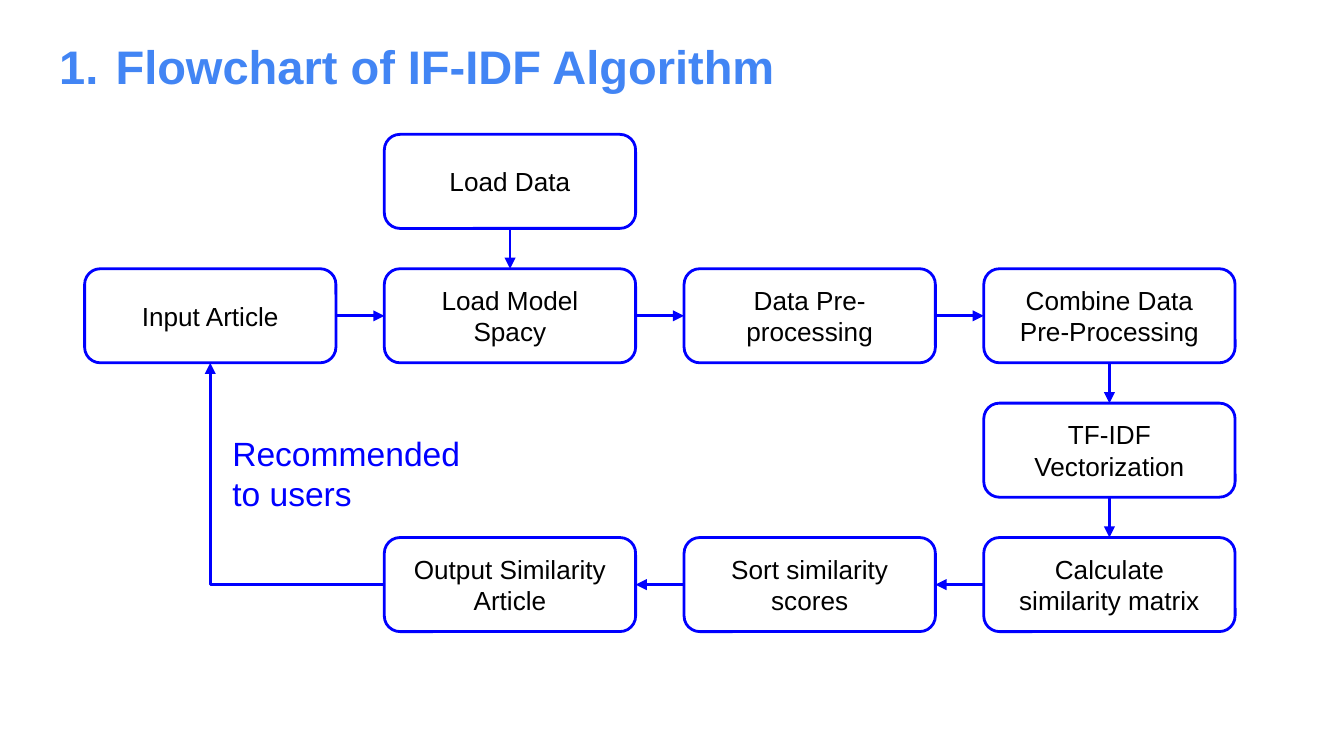
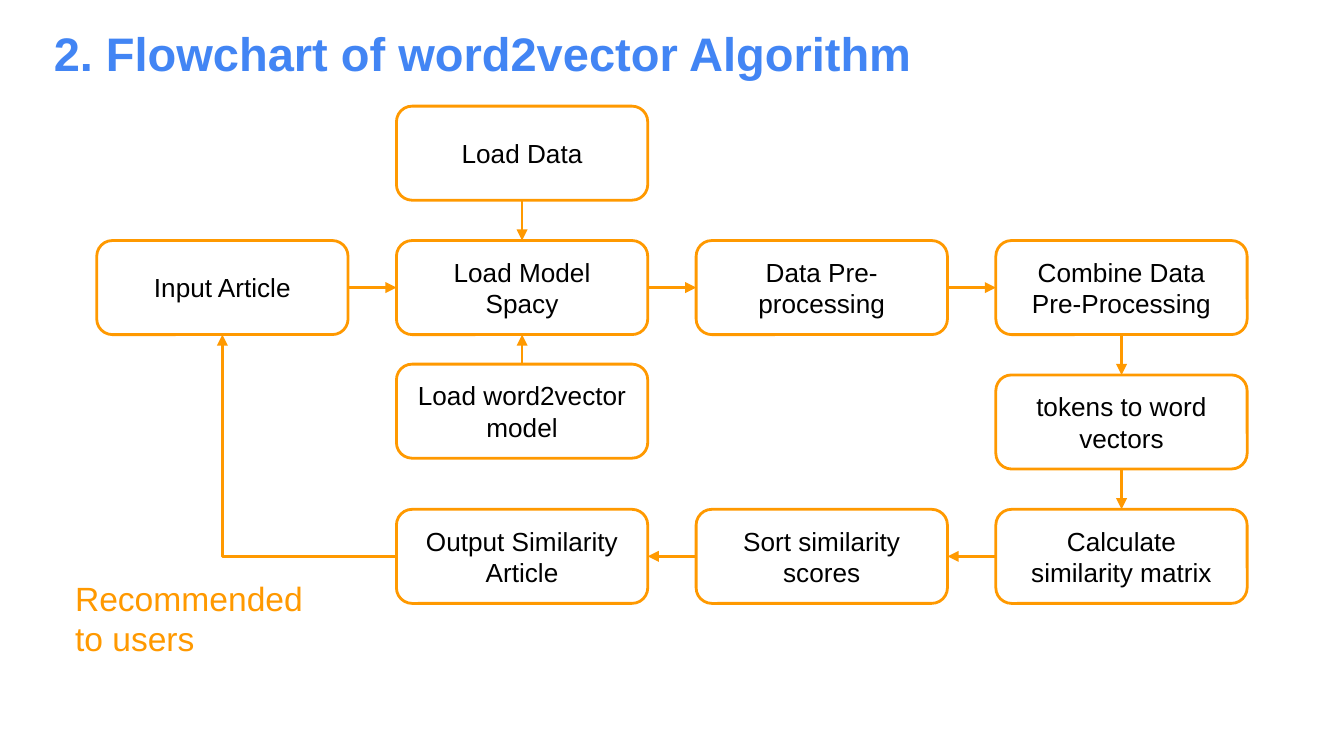
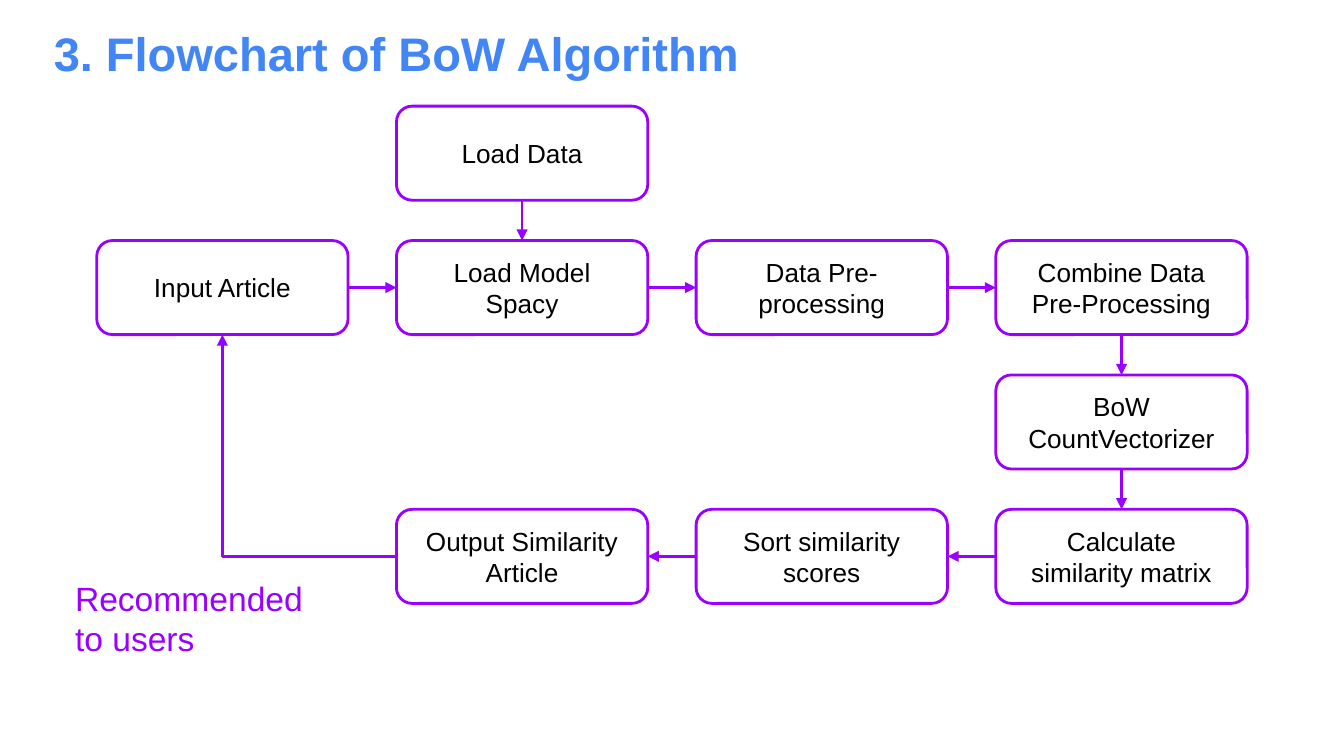
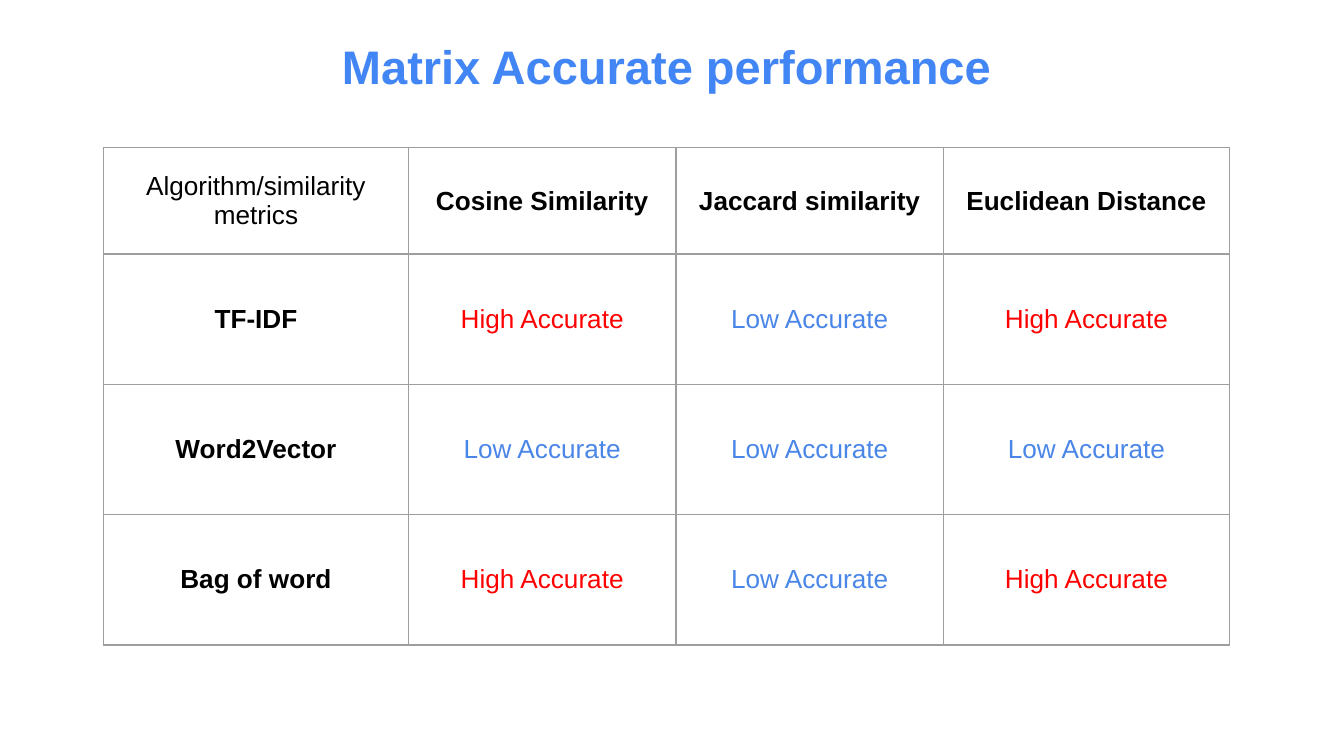
from lxml import etree
from pptx import Presentation
from pptx.dml.color import RGBColor
from pptx.enum.shapes import MSO_CONNECTOR, MSO_SHAPE
from pptx.enum.text import MSO_ANCHOR, MSO_AUTO_SIZE, PP_ALIGN
from pptx.oxml.ns import qn
from pptx.util import Inches, Pt

ROUNDED = MSO_SHAPE.ROUNDED_RECTANGLE
STRAIGHT, ELBOW = MSO_CONNECTOR.STRAIGHT, MSO_CONNECTOR.ELBOW
TOP, MIDDLE = MSO_ANCHOR.TOP, MSO_ANCHOR.MIDDLE
LEFT, CENTER = PP_ALIGN.LEFT, PP_ALIGN.CENTER
NO_AUTOFIT = MSO_AUTO_SIZE.NONE

BLACK = RGBColor(0x00, 0x00, 0x00)
TITLE_BLUE = RGBColor(0x42, 0x85, 0xF4)
BLUE = RGBColor(0x00, 0x00, 0xFF)
ORANGE = RGBColor(0xFF, 0x99, 0x00)
PURPLE = RGBColor(0x99, 0x00, 0xFF)
RED = RGBColor(0xFF, 0x00, 0x00)
LOW_BLUE = RGBColor(0x4A, 0x86, 0xE8)
BORDER_GRAY = RGBColor(0x9E, 0x9E, 0x9E)

FONT = "Arial"
LINE_WIDTH = Pt(1.5)
INSET = Inches(0.1)
STEP_WIDTH, STEP_HEIGHT = 1.87, 0.7
COLUMN_STEP, ROW_STEP = 2.23, 1.0
SITES = {"top": 0, "left": 1, "bottom": 2, "right": 3}

HIGH, LOW = "High Accurate", "Low Accurate"
CELL_COLORS = {HIGH: RED, LOW: LOW_BLUE}

STEPS = {
    "data": ("Load Data", 1, 0),
    "input": ("Input Article", 0, 1),
    "model": ("Load Model Spacy", 1, 1),
    "clean": ("Data Pre-processing", 2, 1),
    "combine": ("Combine Data Pre-Processing", 3, 1),
    "matrix": ("Calculate similarity matrix", 3, 3),
    "sort": ("Sort similarity scores", 2, 3),
    "output": ("Output Similarity Article", 1, 3),
}
ARROWS = [
    ("input", "right", "model", "left"),
    ("model", "right", "clean", "left"),
    ("data", "bottom", "model", "top"),
    ("clean", "right", "combine", "left"),
    ("combine", "bottom", "vectors", "top"),
    ("vectors", "bottom", "matrix", "top"),
    ("matrix", "left", "sort", "right"),
    ("sort", "left", "output", "right"),
    ("output", "left", "input", "bottom"),
]
ACCURACY = [
    ["Algorithm/similarity metrics", "Cosine Similarity", "Jaccard similarity", "Euclidean Distance"],
    ["TF-IDF", HIGH, LOW, HIGH],
    ["Word2Vector", LOW, LOW, LOW],
    ["Bag of word", HIGH, LOW, HIGH],
]


class FlowDeck:
    def __init__(self):
        self.deck = Presentation()
        self.deck.slide_width = Inches(10)
        self.deck.slide_height = Inches(5.625)
        self.page = None
        self.accent = BLUE

    def add_text(self, para, text, size, color, bold=False, align=LEFT):
        para.alignment = align
        span = para.add_run()
        span.text = text
        font = span.font
        font.name, font.size, font.bold = FONT, Pt(size), bold
        font.color.rgb = color

    def fill_frame(self, frame, anchor, text, size, color, bold=False, align=LEFT):
        self.set_margins(frame)
        frame.word_wrap = True
        frame.vertical_anchor = anchor
        self.add_text(frame.paragraphs[0], text, size, color, bold, align)

    def set_margins(self, holder):
        holder.margin_left = holder.margin_right = INSET
        holder.margin_top = holder.margin_bottom = INSET

    def add_page(self, title, left, top, align=LEFT, numbered=False):
        self.page = self.deck.slides.add_slide(self.deck.slide_layouts[5])
        box = self.page.shapes.title
        box.left, box.top = Inches(left), Inches(top)
        box.width, box.height = Inches(9.4), Inches(0.63)
        frame = box.text_frame
        frame.auto_size = NO_AUTOFIT
        if numbered:
            self.add_number(frame.paragraphs[0])
        self.fill_frame(frame, TOP, title, 25.2, TITLE_BLUE, True, align)

    def add_number(self, para):
        props = para._p.get_or_add_pPr()
        props.set("marL", str(Inches(0.5)))
        props.set("indent", str(Inches(-0.42)))
        color = etree.SubElement(props, qn("a:buClr"))
        etree.SubElement(color, qn("a:srgbClr"), val=str(TITLE_BLUE))
        etree.SubElement(props, qn("a:buFont"), typeface=FONT)
        etree.SubElement(props, qn("a:buAutoNum"), type="arabicPeriod")

    def add_step(self, text, left, top):
        box = self.page.shapes.add_shape(
            ROUNDED, Inches(left), Inches(top), Inches(STEP_WIDTH), Inches(STEP_HEIGHT))
        box.shadow.inherit = False
        box.fill.background()
        box.line.color.rgb = self.accent
        box.line.width = LINE_WIDTH
        self.fill_frame(box.text_frame, MIDDLE, text, 14, BLACK, align=CENTER)
        return box

    def add_arrow(self, start, start_side, end, end_side):
        turns = (start_side, end_side) == ("left", "bottom")
        arrow = self.page.shapes.add_connector(ELBOW if turns else STRAIGHT, 0, 0, 0, 0)
        arrow.begin_connect(start, SITES[start_side])
        arrow.end_connect(end, SITES[end_side])
        arrow.line.color.rgb = self.accent
        arrow.line.width = LINE_WIDTH
        props = arrow._element.spPr
        if turns:
            props.find(qn("a:prstGeom")).set("prst", "bentConnector2")
        etree.SubElement(props.find(qn("a:ln")), qn("a:tailEnd"), type="triangle")
        etree.SubElement(props, qn("a:effectLst"))

    def add_label(self, text, left, top):
        box = self.page.shapes.add_textbox(Inches(left), Inches(top), Inches(1.95), Inches(0.81))
        self.fill_frame(box.text_frame, TOP, text, 18, self.accent)

    def add_flowchart(self, accent, left, top, vector_text, label_at, extra_model=None):
        self.accent = accent
        steps = {**STEPS, "vectors": (vector_text, 3, 2)}
        arrows = list(ARROWS)
        if extra_model:
            steps["extra"] = (extra_model, 1, 1.92)
            arrows.append(("extra", "top", "model", "bottom"))
        boxes = {
            name: self.add_step(text, left + column * COLUMN_STEP, top + row * ROW_STEP)
            for name, (text, column, row) in steps.items()
        }
        for start, start_side, end, end_side in arrows:
            self.add_arrow(boxes[start], start_side, boxes[end], end_side)
        self.add_label("Recommended to users", *label_at)

    def add_table(self, rows, left, top, widths, heights):
        table = self.page.shapes.add_table(
            len(rows), len(widths), Inches(left), Inches(top),
            Inches(sum(widths)), Inches(sum(heights))).table
        table.first_row = table.horz_banding = False
        for column, width in zip(table.columns, widths):
            column.width = Inches(width)
        for row, height in zip(table.rows, heights):
            row.height = Inches(height)
        for r, texts in enumerate(rows):
            for c, text in enumerate(texts):
                cell = table.cell(r, c)
                cell.vertical_anchor = MIDDLE
                self.set_margins(cell)
                bold = (r == 0) != (c == 0)
                color = CELL_COLORS.get(text, BLACK)
                self.add_text(cell.text_frame.paragraphs[0], text, 14, color, bold, CENTER)
                self.add_borders(cell)
                cell.fill.background()

    def add_borders(self, cell):
        props = cell._tc.get_or_add_tcPr()
        for side in ("lnL", "lnR", "lnT", "lnB"):
            line = etree.SubElement(props, qn(f"a:{side}"), w=str(Pt(0.75)))
            fill = etree.SubElement(line, qn("a:solidFill"))
            etree.SubElement(fill, qn("a:srgbClr"), val=str(BORDER_GRAY))


def main():
    flow = FlowDeck()

    flow.add_page("Flowchart of IF-IDF Algorithm", 0.26, 0.18, numbered=True)
    flow.add_flowchart(BLUE, 0.63, 1.0, "TF-IDF Vectorization", (1.63, 3.12))

    flow.add_page("2. Flowchart of word2vector Algorithm", 0.3, 0.08)
    flow.add_flowchart(ORANGE, 0.72, 0.79, "tokens to word vectors", (0.46, 4.2),
                       extra_model="Load word2vector model")

    flow.add_page("3. Flowchart of BoW Algorithm", 0.3, 0.08)
    flow.add_flowchart(PURPLE, 0.72, 0.79, "BoW CountVectorizer", (0.46, 4.2))

    flow.add_page("Matrix Accurate performance", 0.26, 0.18, align=CENTER)
    flow.add_table(ACCURACY, 0.77, 1.1, [2.27, 1.99, 1.99, 2.13], [0.79] + [0.97] * 3)

    flow.deck.save("out.pptx")


if __name__ == "__main__":
    main()
